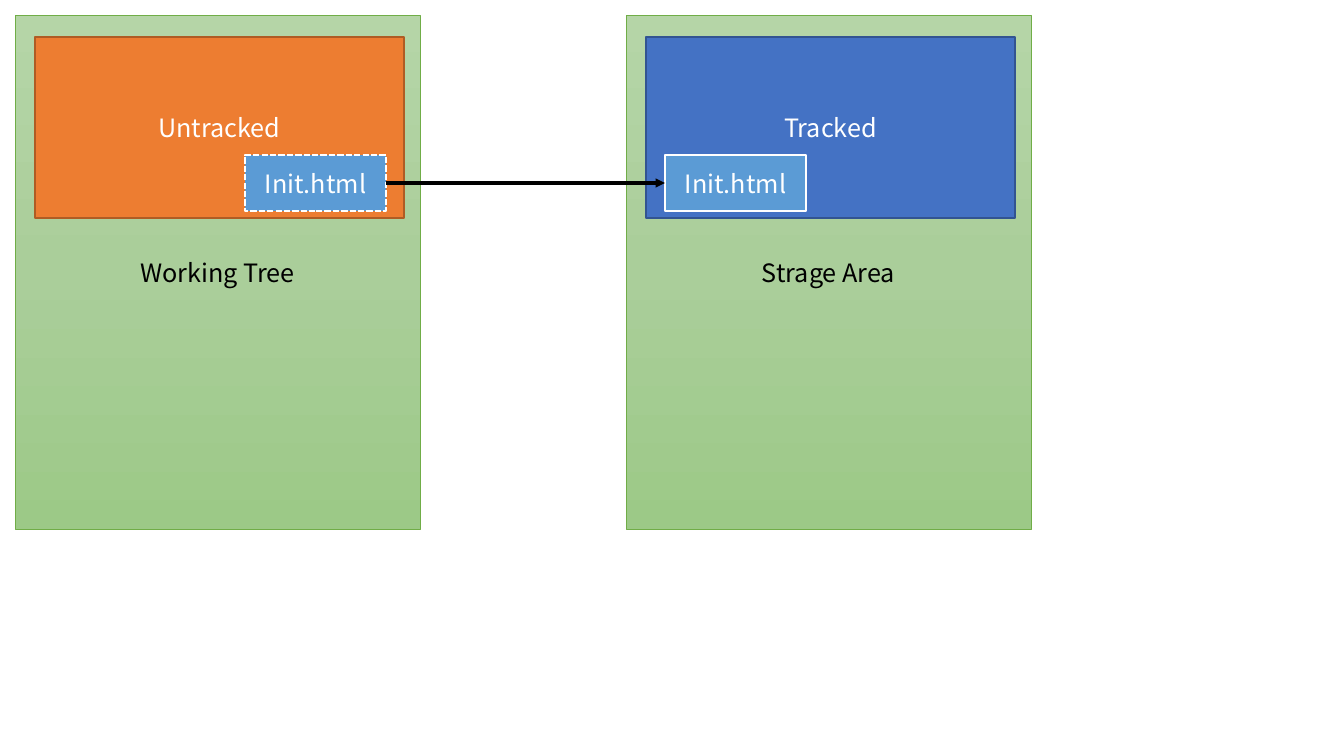
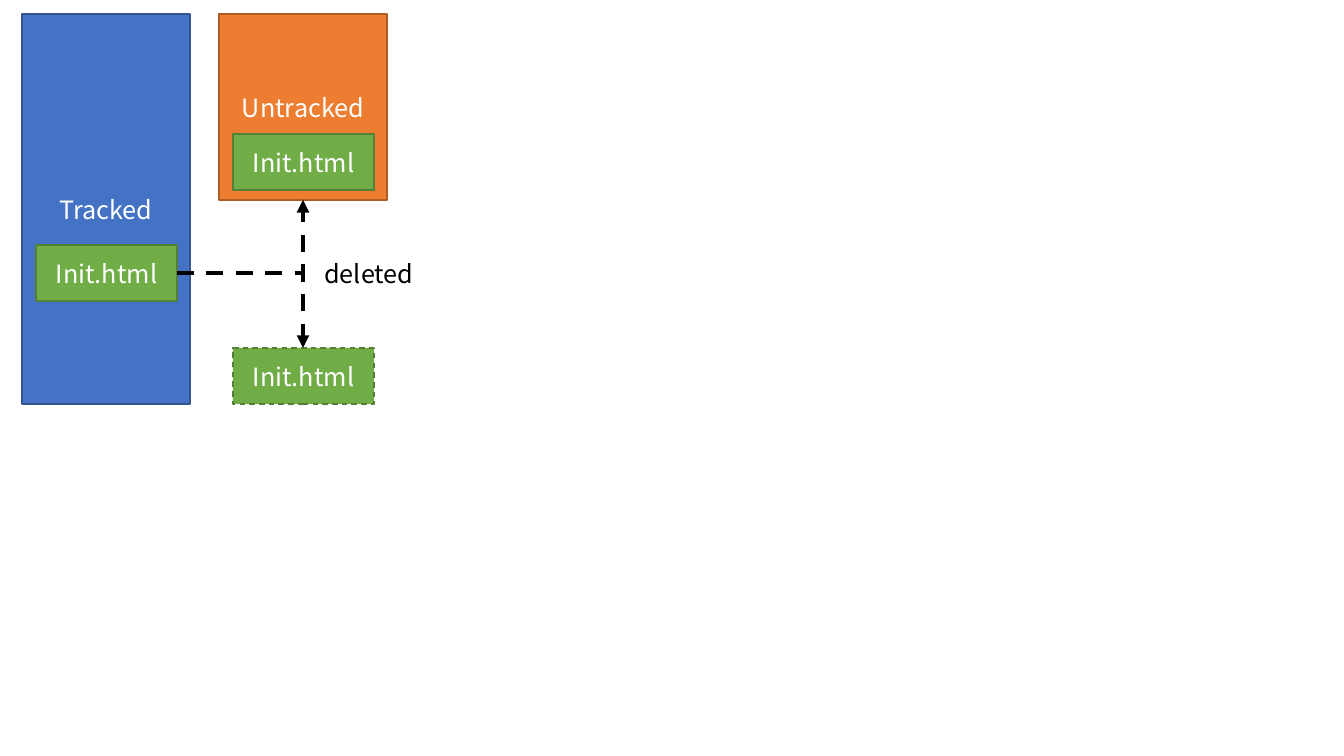
from copy import deepcopy

from lxml import etree
from pptx import Presentation
from pptx.dml.color import RGBColor
from pptx.enum.dml import MSO_LINE
from pptx.enum.shapes import MSO_CONNECTOR, MSO_SHAPE
from pptx.enum.text import MSO_ANCHOR, MSO_AUTO_SIZE, PP_ALIGN
from pptx.oxml.ns import qn
from pptx.util import Emu, Pt

RECTANGLE = MSO_SHAPE.RECTANGLE
STRAIGHT, ELBOW = MSO_CONNECTOR.STRAIGHT, MSO_CONNECTOR.ELBOW
DASH, SHORT_DASH = MSO_LINE.DASH, MSO_LINE.SQUARE_DOT
CENTER, MIDDLE = PP_ALIGN.CENTER, MSO_ANCHOR.MIDDLE
GROW = MSO_AUTO_SIZE.SHAPE_TO_FIT_TEXT

EMU_PER_PIXEL = 914400 / 100.8
FONT, FONT_SIZE = "Noto Sans CJK KR", 18
WHITE, BLACK = "FFFFFF", "000000"
# Each pair is a fill and its outline.
UNTRACKED = ("ED7D31", "AF5C24")
TRACKED = ("4472C4", "325491")
BLUE_FILE = ("5B9BD5", WHITE)
GREEN_FILE = ("70AD47", "538035")
PANEL_GRADIENT = ("B5D5A7", "AACE9A", "9CC987")
PANEL_LINE = "70AD47"
FILE_NAME = "Init.html"
FILE_WIDTH, FILE_HEIGHT = 141, 56


def px(pixels):
    """Turn pixels into EMU."""
    return Emu(round(pixels * EMU_PER_PIXEL))


def color(hex_string):
    """Turn a hex string into a colour."""
    return RGBColor.from_string(hex_string)


class Deck:
    """Hold the presentation, its style and the current slide."""

    def __init__(self):
        """Start a wide presentation."""
        self.presentation = Presentation()
        self.presentation.slide_width = px(1344)
        self.presentation.slide_height = px(756)
        self.slide = None

    def new_slide(self):
        """Add a blank slide and make it current."""
        self.slide = self.presentation.slides.add_slide(
            self.presentation.slide_layouts[6])

    def set_text(self, shape, text, text_color):
        """Put one centred line of text in a shape."""
        shape.text_frame.word_wrap = True
        paragraph = shape.text_frame.paragraphs[0]
        paragraph.text = text
        paragraph.alignment = CENTER
        paragraph.font.name = FONT
        paragraph.font.size = Pt(FONT_SIZE)
        paragraph.font.color.rgb = color(text_color)

    def draw_line(self, line, line_color, width, dash=None):
        """Style an outline or a connector line."""
        line.color.rgb = color(line_color)
        line.width = Pt(width)
        if dash is not None:
            line.dash_style = dash

    def box(self, left, top, width, height, text, colors,
            line_width=1, dash=None, text_color=WHITE):
        """Add a labelled rectangle with a plain fill."""
        fill_color, line_color = colors
        shape = self.slide.shapes.add_shape(
            RECTANGLE, px(left), px(top), px(width), px(height))
        shape.shadow.inherit = False
        shape.fill.solid()
        shape.fill.fore_color.rgb = color(fill_color)
        self.draw_line(shape.line, line_color, line_width, dash)
        shape.text_frame.vertical_anchor = MIDDLE
        self.set_text(shape, text, text_color)
        return shape

    def panel(self, left, text):
        """Add a tall green panel with a vertical gradient."""
        shape = self.box(left, 15, 405, 514, text,
                         (PANEL_GRADIENT[0], PANEL_LINE), 0.5, text_color=BLACK)
        shape.fill.gradient()
        shape.fill.gradient_angle = 270
        first_stop = next(shape._element.spPr.iter(qn("a:gs")))
        first_stop.addnext(deepcopy(first_stop))
        for index, stop in enumerate(shape.fill.gradient_stops):
            stop.position = index / 2
            stop.color.rgb = color(PANEL_GRADIENT[index])

    def file(self, left, top, colors, line_width=1, dash=None):
        """Add a file box."""
        self.box(left, top, FILE_WIDTH, FILE_HEIGHT, FILE_NAME, colors,
                 line_width, dash)

    def label(self, left, top, width, height, text):
        """Add free text."""
        text_box = self.slide.shapes.add_textbox(
            px(left), px(top), px(width), px(height))
        self.set_text(text_box, text, BLACK)
        text_box.text_frame.auto_size = GROW

    def arrow(self, start, end, width, dash=None, bent=False):
        """Add an arrow, straight or with one right-angle bend."""
        connector = self.slide.shapes.add_connector(
            ELBOW if bent else STRAIGHT, *map(px, start + end))
        self.draw_line(connector.line, BLACK, width, dash)
        properties = connector._element.spPr
        if bent:
            properties.find(qn("a:prstGeom")).set("prst", "bentConnector2")
        etree.SubElement(properties.find(qn("a:ln")), qn("a:tailEnd"),
                         type="triangle")
        etree.SubElement(properties, qn("a:effectLst"))


def build_staging_slide(deck):
    """Show a file moving from the working tree to the next area."""
    deck.new_slide()
    left_panel, right_panel = 15, 626
    deck.panel(left_panel, "Working Tree")
    deck.panel(right_panel, "Strage Area")
    for panel_left, state, colors in ((left_panel, "Untracked", UNTRACKED),
                                      (right_panel, "Tracked", TRACKED)):
        deck.box(panel_left + 20, 37, 369, 181, state, colors)
    source_left, target_left, file_top = 245, 665, 155
    deck.file(source_left, file_top, BLUE_FILE, 1.5, SHORT_DASH)
    deck.file(target_left, file_top, BLUE_FILE, 1.5)
    middle = file_top + FILE_HEIGHT / 2
    deck.arrow((source_left + FILE_WIDTH, middle), (target_left, middle), 2.25)


def build_deletion_slide(deck):
    """Show the two outcomes of removing a tracked file."""
    deck.new_slide()
    tracked_left, untracked_left, top, width = 22, 219, 14, 168
    untracked_height, inset = 186, 14
    deck.box(untracked_left, top, width, untracked_height, "Untracked", UNTRACKED)
    deck.label(303, 253, 132, 40, "deleted")
    deck.box(tracked_left, top, width, 390, "Tracked", TRACKED)
    file_top, deleted_top = 245, 348
    deck.file(tracked_left + inset, file_top, GREEN_FILE)
    deck.file(untracked_left + inset, 134, GREEN_FILE)
    deck.file(untracked_left + inset, deleted_top, GREEN_FILE, dash=DASH)
    start = (tracked_left + inset + FILE_WIDTH, file_top + FILE_HEIGHT / 2)
    for end_top in (deleted_top, top + untracked_height):
        deck.arrow(start, (untracked_left + width / 2, end_top), 3, DASH, bent=True)


deck = Deck()
build_staging_slide(deck)
build_deletion_slide(deck)
deck.presentation.save("out.pptx")
